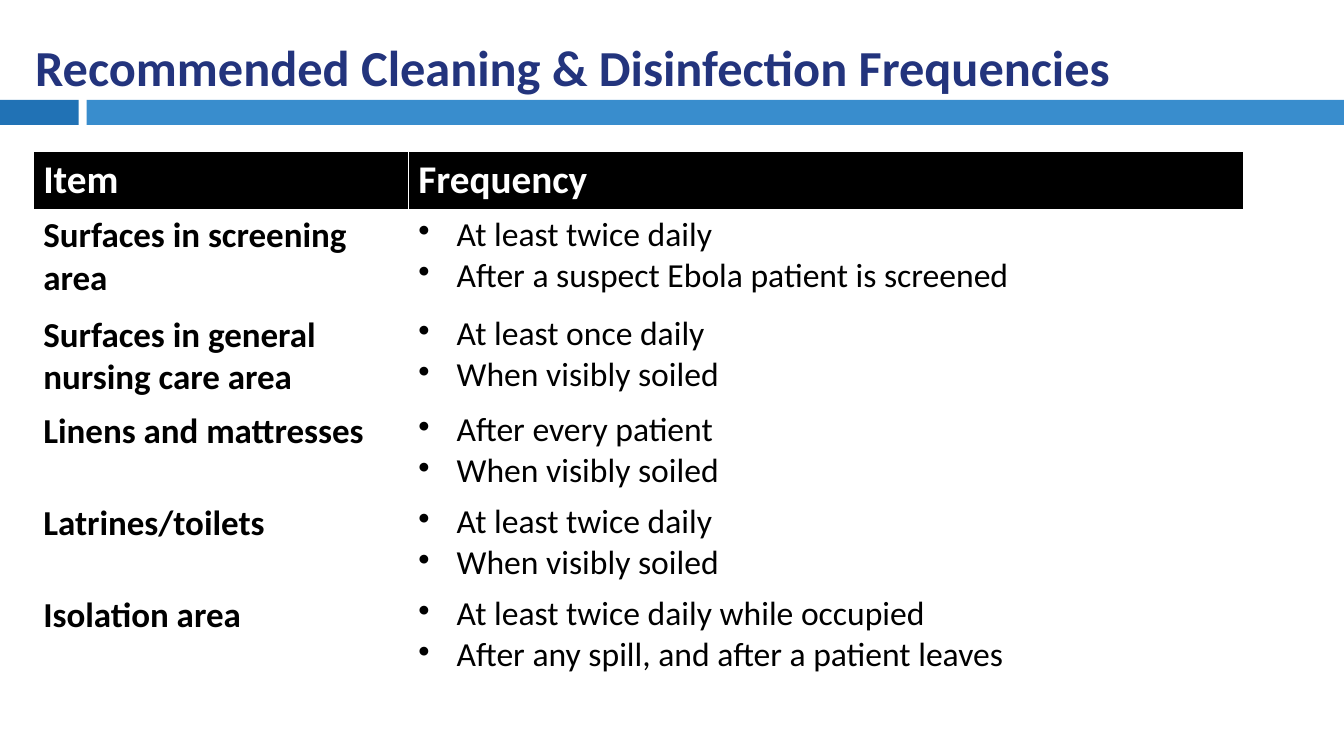
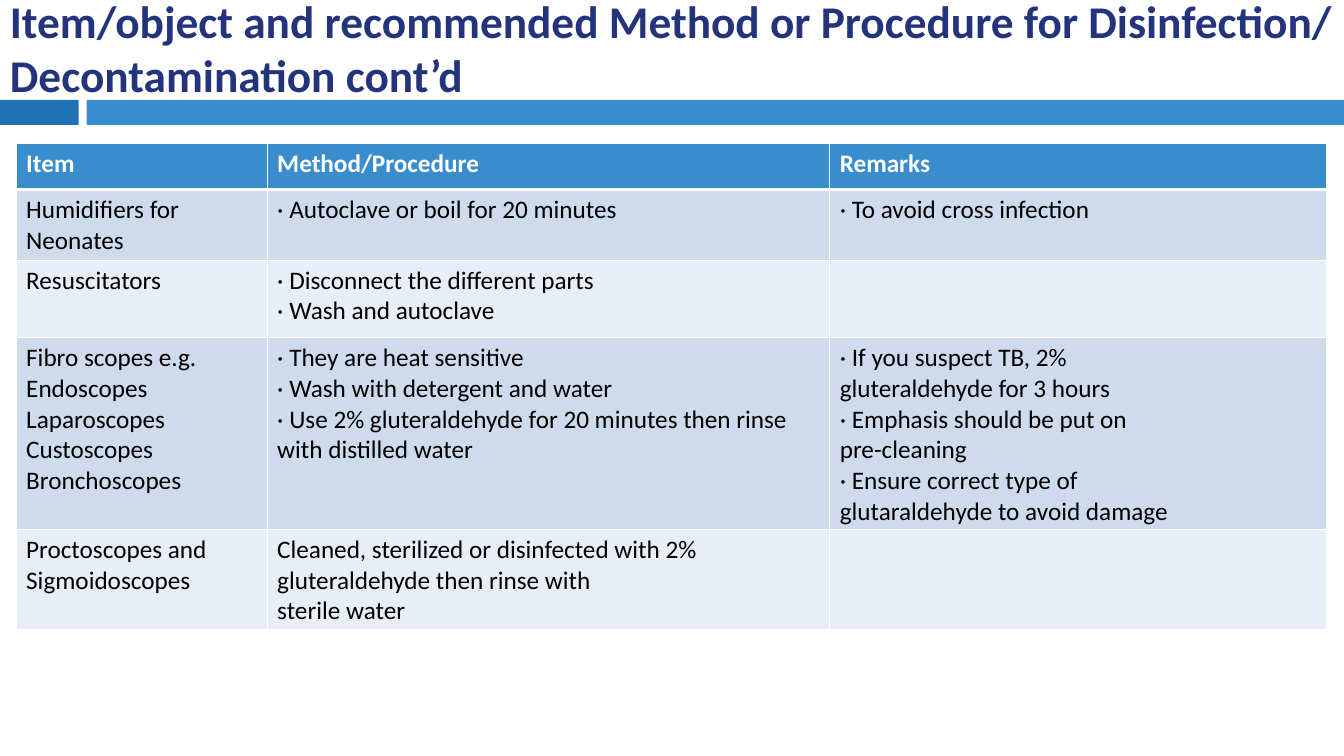
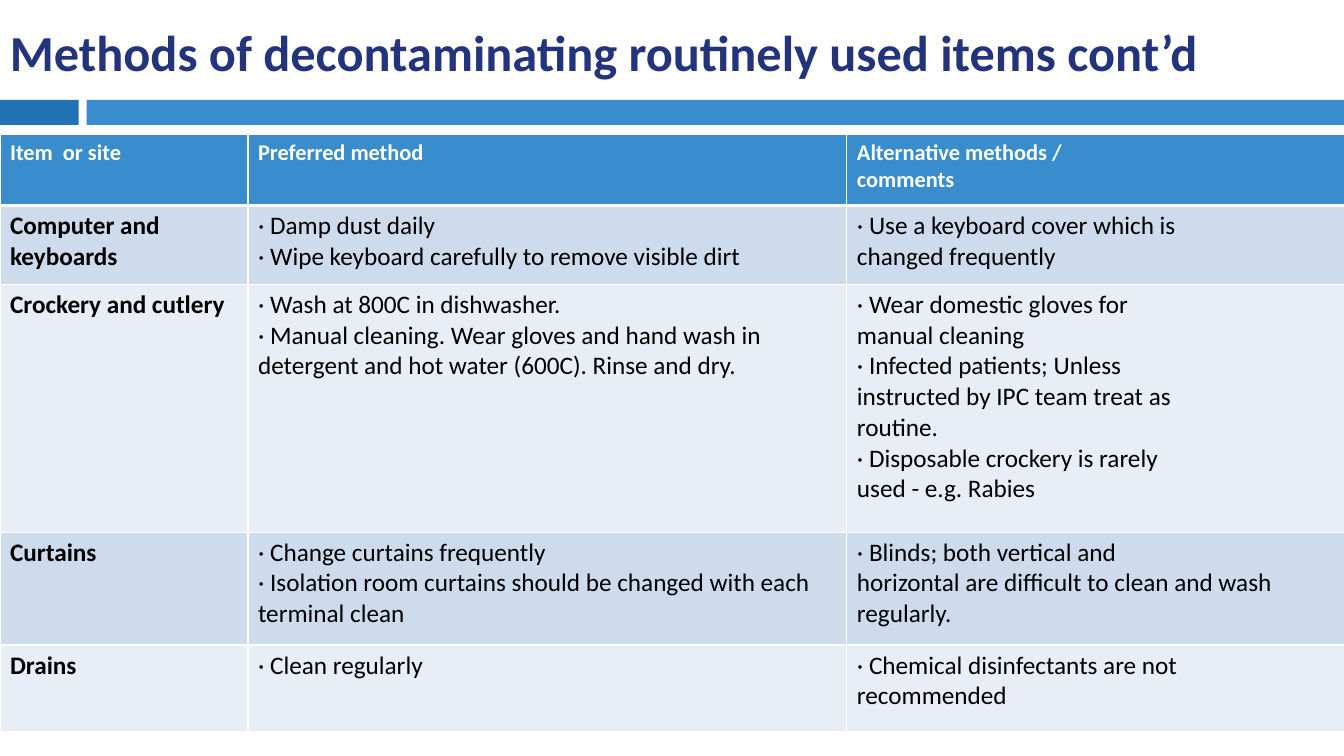
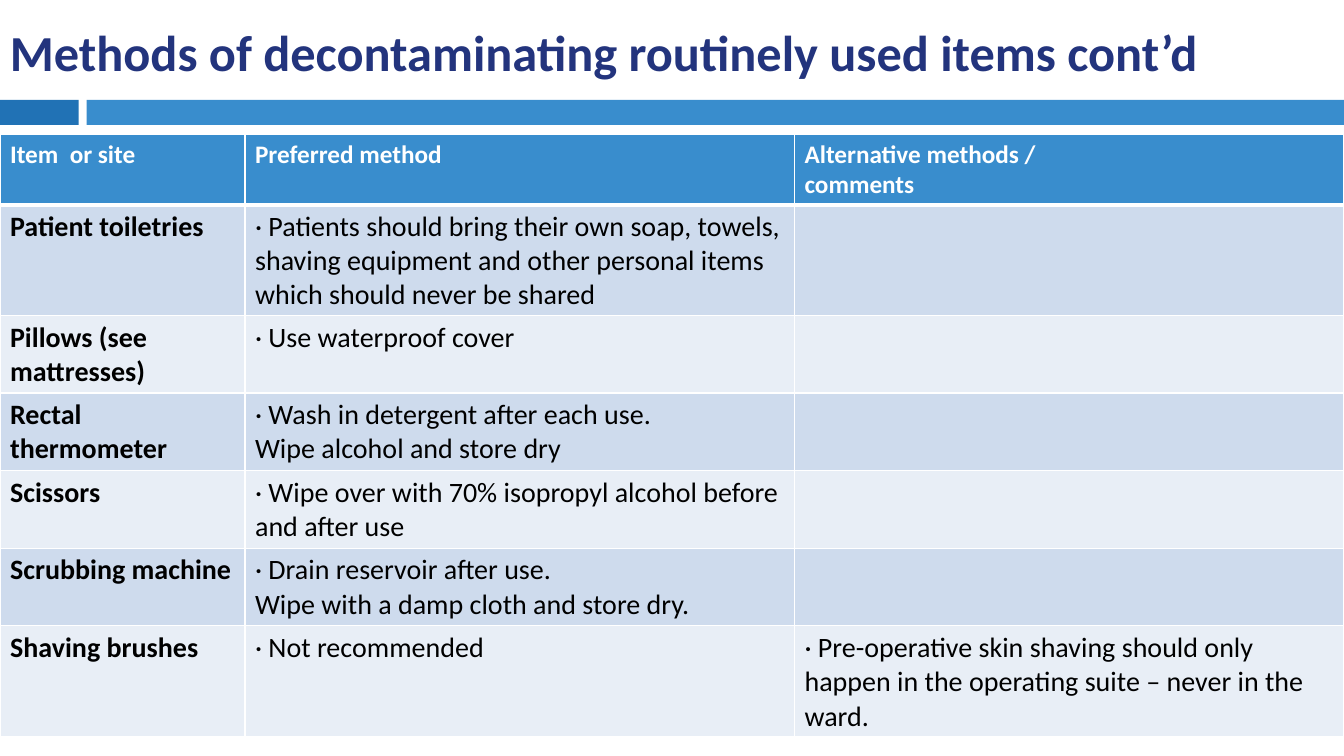
from dataclasses import dataclass

from lxml.etree import SubElement
from pptx import Presentation
from pptx.dml.color import RGBColor
from pptx.enum.shapes import MSO_SHAPE
from pptx.enum.text import MSO_ANCHOR
from pptx.oxml.ns import qn
from pptx.util import Inches, Pt


@dataclass(frozen=True)
class Theme:
    """Colours, font and line widths shared by all slides."""
    font: str = "Calibri"
    navy: str = "23347D"
    deep: str = "2172B5"
    blue: str = "398DCD"
    pale: str = "CEDBED"
    mist: str = "E8EEF6"
    black: str = "000000"
    white: str = "FFFFFF"
    title: float = 36
    small: float = 32.4
    thin: float = 1
    thick: float = 3


@dataclass(frozen=True)
class Look:
    """Type sizes and finish of one table."""
    head: float
    side: float
    body: float
    bold: bool = True
    plain: bool = False


class Deck:
    """Holds the theme, the file and the current slide."""

    def __init__(self, theme):
        """Start an empty wide deck."""
        self.theme = theme
        self.file = Presentation()
        self.file.slide_width = Inches(13.33)
        self.file.slide_height = Inches(7.5)
        self.slide = None

    def start(self):
        """Add a slide with its two bands."""
        self.slide = self.file.slides.add_slide(self.file.slide_layouts[6])
        self.band(0, 0.78, self.theme.deep)
        self.band(0.86, 12.47, self.theme.blue)

    def band(self, left, width, color):
        """Draw one part of the band below the title."""
        bar = self.slide.shapes.add_shape(
            MSO_SHAPE.RECTANGLE, Inches(left), Inches(0.99),
            Inches(width), Inches(0.25))
        bar.shadow.inherit = False
        bar.fill.solid()
        bar.fill.fore_color.rgb = RGBColor.from_string(color)
        bar.line.fill.background()

    def title(self, text, area, size=None):
        """Add the slide title, centred in height."""
        box = self.slide.shapes.add_textbox(*map(Inches, area))
        frame = box.text_frame
        frame.word_wrap = True
        frame.vertical_anchor = MSO_ANCHOR.MIDDLE
        frame.text = text
        self.style(frame, size or self.theme.title, self.theme.navy, True)

    def style(self, frame, size, color, bold):
        """Set the font of every paragraph in a frame."""
        for para in frame.paragraphs:
            font = para.font
            font.name = self.theme.font
            font.size = Pt(size)
            font.bold = bold
            font.color.rgb = RGBColor.from_string(color)

    def bullet(self, frame):
        """Give every paragraph a hanging bullet."""
        for para in frame.paragraphs:
            props = para._p.get_or_add_pPr()
            props.set("marL", str(Inches(0.38)))
            props.set("indent", str(-Inches(0.38)))
            mark = props.makeelement(qn("a:buChar"), {"char": "•"})
            props.insert(0, mark)

    def border(self, cell, top, base):
        """Draw white lines on the four sides of a cell."""
        props = cell._tc.get_or_add_tcPr()
        widths = {"L": self.theme.thin, "R": self.theme.thin,
                  "T": top, "B": base}
        for side, width in widths.items():
            line = SubElement(props, qn(f"a:ln{side}"), w=str(Pt(width)))
            fill = SubElement(line, qn("a:solidFill"))
            SubElement(fill, qn("a:srgbClr"), val=self.theme.white)

    def paint(self, cell, row, plain):
        """Fill a cell by its row."""
        theme = self.theme
        if row and plain:
            cell.fill.background()
            return
        if row:
            color = theme.pale if row % 2 else theme.mist
        else:
            color = theme.black if plain else theme.blue
        cell.fill.solid()
        cell.fill.fore_color.rgb = RGBColor.from_string(color)

    def cell(self, cell, text, row, col, look):
        """Write and finish one table cell."""
        theme = self.theme
        rule = theme.thin if look.plain else theme.thick
        self.border(cell, rule if row == 1 else theme.thin,
                    theme.thin if row else rule)
        self.paint(cell, row, look.plain)
        frame = cell.text_frame
        frame.text = text
        if row == 0:
            self.style(frame, look.head, theme.white, True)
        elif col == 0:
            self.style(frame, look.side, theme.black, look.bold)
        else:
            self.style(frame, look.body, theme.black, False)
            if look.plain:
                self.bullet(frame)

    def table(self, left, top, high, cols, rows, data, look):
        """Add a table from rows of text."""
        shape = self.slide.shapes.add_table(
            len(rows), len(cols), Inches(left), Inches(top),
            Inches(sum(cols)), Inches(high))
        grid = shape.table
        grid.first_row = grid.horz_banding = False
        for col, width in zip(grid.columns, cols):
            col.width = Inches(width)
        for row, size in zip(grid.rows, rows):
            row.height = Inches(size)
        shape.height = Inches(high)
        for r, line in enumerate(data):
            for c, text in enumerate(line):
                self.cell(grid.cell(r, c), text, r, c, look)


METHODS = "Methods of decontaminating routinely used items cont’d"
WIDE = (0, 0.1, 13.33, 0.81)
SITES = ("Item  or site", "Preferred method",
         "Alternative methods /\ncomments")

TIMES = [
    ("Item", "Frequency"),
    ("Surfaces in screening area",
     "At least twice daily\nAfter a suspect Ebola patient is screened"),
    ("Surfaces in general nursing care area",
     "At least once daily\nWhen visibly soiled"),
    ("Linens and mattresses", "After every patient\nWhen visibly soiled"),
    ("Latrines/toilets", "At least twice daily\nWhen visibly soiled"),
    ("Isolation area",
     "At least twice daily while occupied\n"
     "After any spill, and after a patient leaves"),
]

SCOPES = [
    ("Item", "Method/Procedure", "Remarks"),
    ("Humidifiers for Neonates", "· Autoclave or boil for 20 minutes",
     "· To avoid cross infection"),
    ("Resuscitators",
     "· Disconnect the different parts\n· Wash and autoclave", ""),
    ("Fibro scopes e.g.\nEndoscopes Laparoscopes\nCustoscopes\nBronchoscopes",
     "· They are heat sensitive\n· Wash with detergent and water\n"
     "· Use 2% gluteraldehyde for 20 minutes then rinse with distilled water",
     "· If you suspect TB, 2%\ngluteraldehyde for 3 hours\n"
     "· Emphasis should be put on\npre-cleaning\n"
     "· Ensure correct type of\nglutaraldehyde to avoid damage"),
    ("Proctoscopes and\nSigmoidoscopes",
     "Cleaned, sterilized or disinfected with 2% gluteraldehyde "
     "then rinse with\nsterile water", ""),
]

ROOMS = [
    SITES,
    ("Computer and\nkeyboards",
     "· Damp dust daily\n· Wipe keyboard carefully to remove visible dirt",
     "· Use a keyboard cover which is\nchanged frequently"),
    ("Crockery and cutlery",
     "· Wash at 800C in dishwasher.\n"
     "· Manual cleaning. Wear gloves and hand wash in detergent and "
     "hot water (600C). Rinse and dry.",
     "· Wear domestic gloves for\nmanual cleaning\n"
     "· Infected patients; Unless\ninstructed by IPC team treat as\n"
     "routine.\n· Disposable crockery is rarely\nused - e.g. Rabies"),
    ("Curtains",
     "· Change curtains frequently\n"
     "· Isolation room curtains should be changed with each terminal clean",
     "· Blinds; both vertical and\n"
     "horizontal are difficult to clean and wash regularly."),
    ("Drains", "· Clean regularly",
     "· Chemical disinfectants are not\nrecommended"),
]

CARE = [
    SITES,
    ("Patient toiletries",
     "· Patients should bring their own soap, towels, shaving equipment "
     "and other personal items which should never be shared", ""),
    ("Pillows (see mattresses)", "· Use waterproof cover", ""),
    ("Rectal thermometer",
     "· Wash in detergent after each use.\nWipe alcohol and store dry", ""),
    ("Scissors",
     "· Wipe over with 70% isopropyl alcohol before and after use", ""),
    ("Scrubbing machine",
     "· Drain reservoir after use.\nWipe with a damp cloth and store dry.",
     ""),
    ("Shaving brushes", "· Not recommended",
     "· Pre-operative skin shaving should only happen in the operating "
     "suite – never in the ward."),
]


def main():
    """Build the four slides and save them."""
    deck = Deck(Theme())

    deck.start()
    deck.table(0.33, 1.5, 5.25, (3.72, 8.28),
               (0.57, 0.99, 0.95, 0.91, 0.91, 0.91), TIMES,
               Look(28, 25, 24, plain=True))
    deck.title("Recommended Cleaning & Disinfection Frequencies",
               (0.25, 0.03, 11.26, 1.25))

    deck.start()
    deck.table(0.16, 1.42, 4.82, (2.49, 5.58, 4.93),
               (0.46, 0.62, 0.77, 0.93, 0.93), SCOPES,
               Look(18, 18, 18, bold=False))
    deck.title("Item/object and recommended Method or Procedure for "
               "Disinfection/ Decontamination cont’d",
               (0, 0.1, 13.33, 0.74), deck.theme.small)

    deck.start()
    deck.table(0, 1.33, 5.92, (2.46, 5.94, 5.09),
               (0.71, 0.78, 2.46, 1.12, 0.86), ROOMS, Look(16, 18, 18))
    deck.title(METHODS, WIDE)

    deck.start()
    deck.table(0, 1.33, 5.97, (2.43, 5.45, 5.45),
               (0.58, 0.65, 0.45) + (0.77,) * 4, CARE, Look(18, 20, 20))
    deck.title(METHODS, WIDE)

    deck.file.save("out.pptx")


main()
